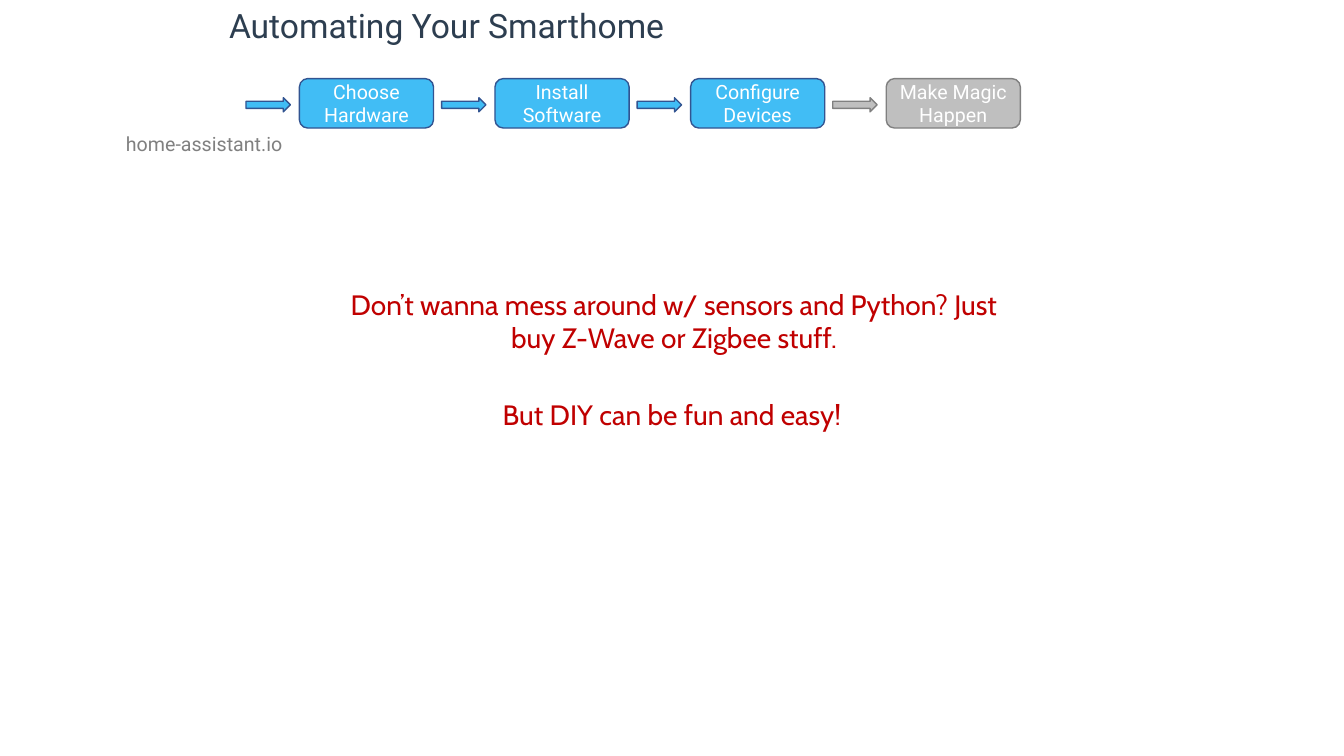
from dataclasses import dataclass

from pptx import Presentation
from pptx.dml.color import RGBColor as Rgb
from pptx.enum.shapes import MSO_SHAPE as Shape
from pptx.enum.text import MSO_ANCHOR as Anchor, PP_ALIGN as Align
from pptx.util import Emu, Pt

PX = 9144


@dataclass(frozen=True)
class Theme:
    title: str = "2D3E50"
    muted: str = "808080"
    accent: str = "C00000"
    step_text: str = "FFFFFF"
    done: tuple = ("41BDF5", "325491")
    pending: tuple = ("BFBFBF", "808080")
    heading_font: str = "Roboto"
    body_font: str = "Cabin"
    title_size: int = 24
    body_size: int = 20
    small_size: int = 14


THEME = Theme()
STEP_PITCH = 194
STEPS = [
    ("Choose Hardware", THEME.done),
    ("Install Software", THEME.done),
    ("Configure Devices", THEME.done),
    ("Make Magic Happen", THEME.pending),
]


def px(*lengths):
    return [Emu(length * PX) for length in lengths]


def write(shape, text, font, size, color):
    frame = shape.text_frame
    frame.word_wrap = True
    para = frame.paragraphs[0]
    para.alignment = Align.CENTER
    span = para.add_run()
    span.text = text
    span.font.name = font
    span.font.size = Pt(size)
    span.font.color.rgb = Rgb.from_string(color)


def add_label(page, place, text, font, size, color):
    box = page.shapes.add_textbox(*px(*place))
    write(box, text, font, size, color)


def add_block(page, kind, place, colors):
    fill, line = colors
    block = page.shapes.add_shape(kind, *px(*place))
    block.shadow.inherit = False
    block.fill.solid()
    block.fill.fore_color.rgb = Rgb.from_string(fill)
    block.line.color.rgb = Rgb.from_string(line)
    block.line.width = Pt(1)
    return block


def add_step(page, index, text, colors):
    left = 244 + index * STEP_PITCH
    add_block(page, Shape.RIGHT_ARROW, (left, 97, 44, 14), colors)
    box = add_block(page, Shape.ROUNDED_RECTANGLE, (left + 53, 78, 133, 49), colors)
    box.text_frame.vertical_anchor = Anchor.MIDDLE
    write(box, text, THEME.heading_font, THEME.small_size, THEME.step_text)


def main():
    deck = Presentation()
    deck.slide_width, deck.slide_height = px(1333, 750)
    page = deck.slides.add_slide(deck.slide_layouts[6])

    add_label(page, (85, 0, 716, 50), "Automating Your Smarthome",
              THEME.heading_font, THEME.title_size, THEME.title)
    for index, (text, colors) in enumerate(STEPS):
        add_step(page, index, text, colors)
    add_label(page, (100, 126, 205, 34), "home-assistant.io",
              THEME.heading_font, THEME.small_size, THEME.muted)

    body = (THEME.body_font, THEME.body_size, THEME.accent)
    add_label(page, (314, 280, 709, 77),
              "Don’t wanna mess around w/ sensors and Python? "
              "Just buy Z-Wave or Zigbee stuff.", *body)
    add_label(page, (312, 389, 709, 44), "But DIY can be fun and easy!", *body)

    deck.save("out.pptx")


if __name__ == "__main__":
    main()
